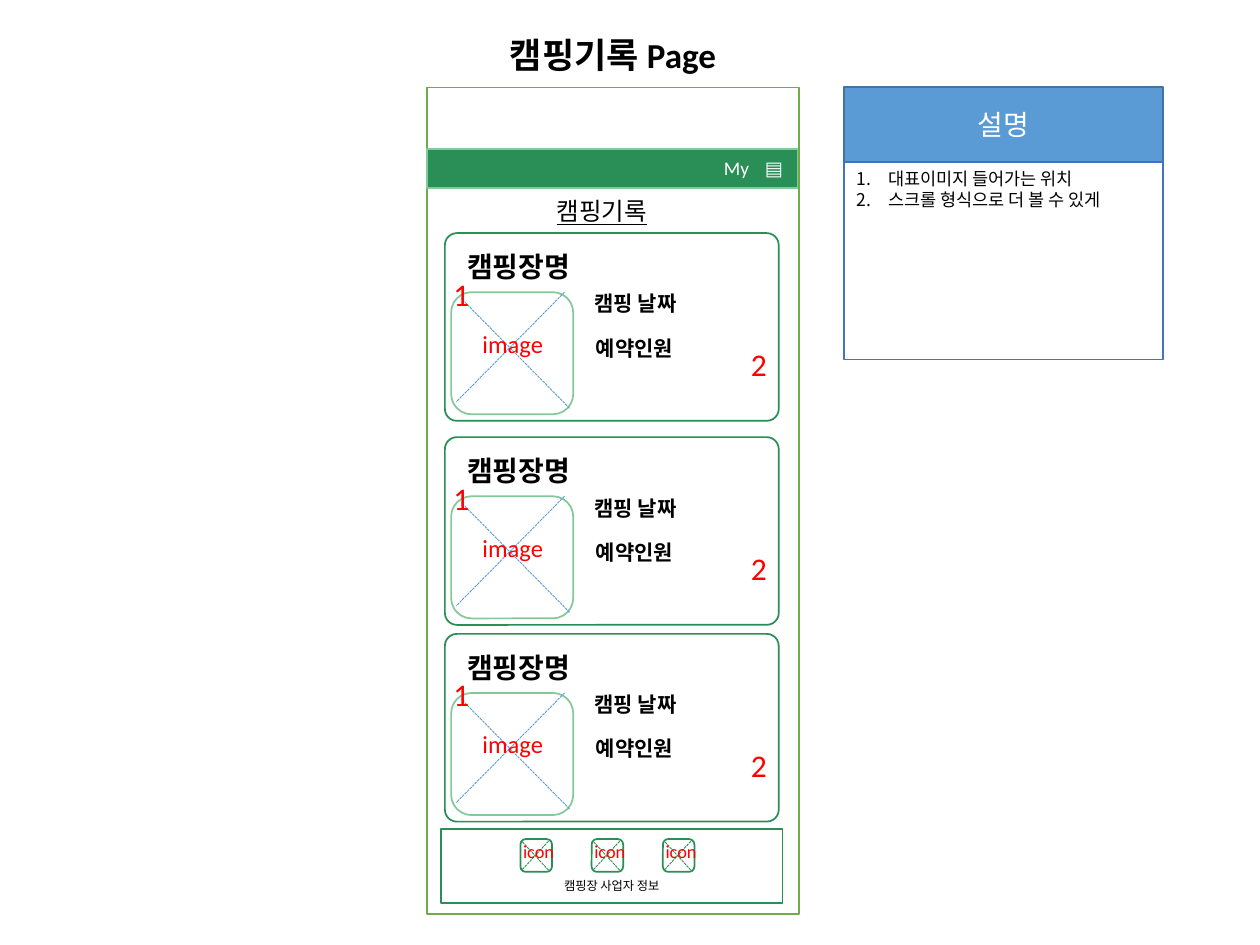
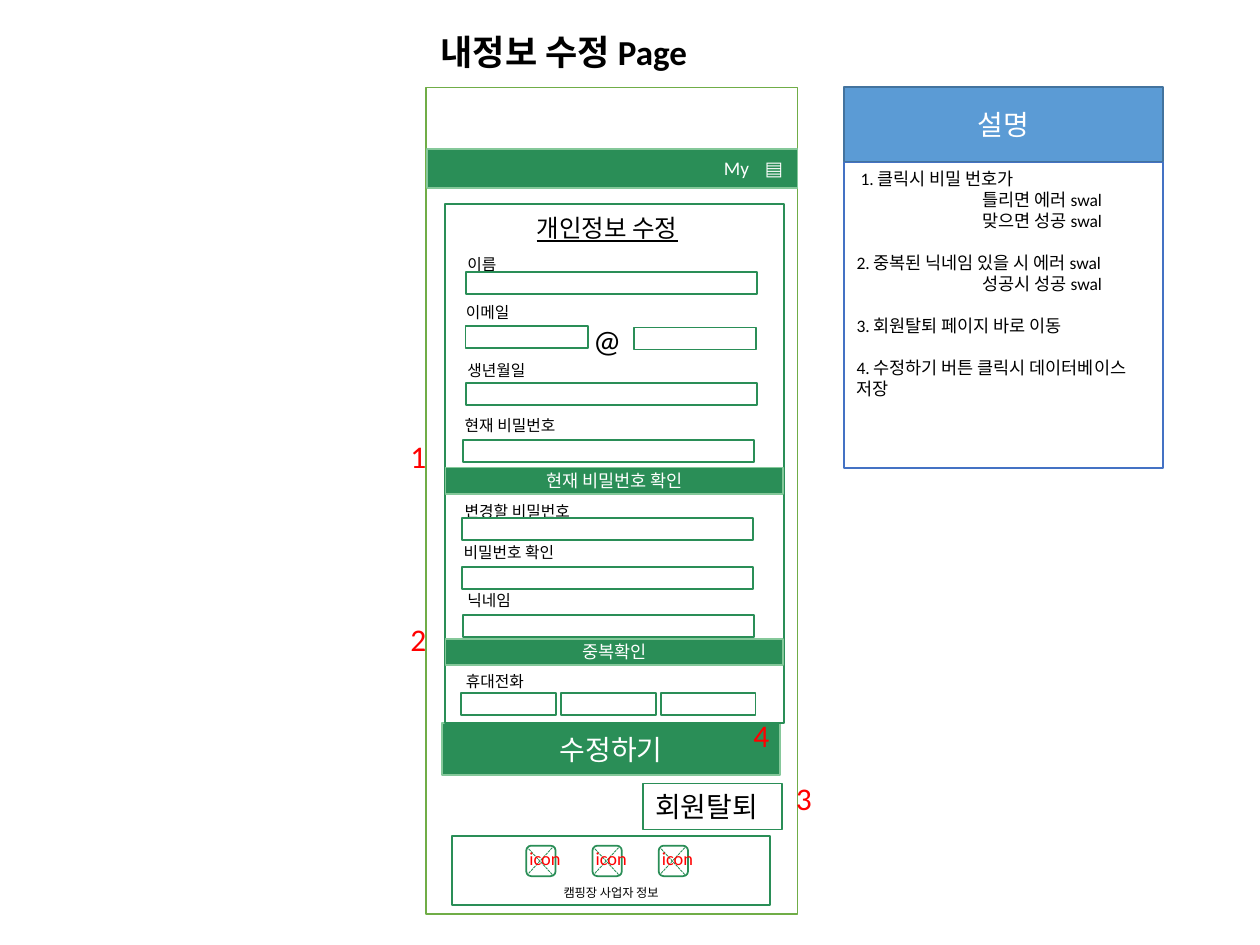
from dataclasses import dataclass

from lxml import etree
from pptx import Presentation
from pptx.dml.color import RGBColor
from pptx.enum.dml import MSO_LINE_DASH_STYLE as Dash
from pptx.enum.shapes import MSO_CONNECTOR as Connector, MSO_SHAPE as Shape
from pptx.enum.text import MSO_ANCHOR as Anchor, PP_ALIGN as Align
from pptx.oxml.ns import qn
from pptx.util import Pt


@dataclass(frozen=True)
class Theme:
    font: str = "Calibri"
    white: str = "FFFFFF"
    black: str = "000000"
    red: str = "FF0000"
    green: str = "2A8E57"
    light_green: str = "85C89A"
    frame_green: str = "70AD47"
    blue: str = "5B9BD5"
    dark_blue: str = "43739E"
    note_blue: str = "4472C4"
    title: float = 20
    marker: float = 18
    large: float = 16
    heading: float = 14
    detail: float = 12
    menu: float = 11
    icon: float = 10.5
    note: float = 10
    label: float = 9
    footer: float = 7


def add_paragraph(frame, text, *, size, color, bold=False, underline=False,
                  align=Align.LEFT, indent=0, before=0, numbered=False):
    """Fill the empty first paragraph of the frame, or append a new one."""
    para = frame.paragraphs[0]
    if para.runs:
        para = frame.add_paragraph()
    para.alignment = align
    properties = para._p.get_or_add_pPr()
    if indent:
        properties.set("marL", str(Pt(indent)))
    if numbered:
        properties.set("indent", str(-Pt(indent)))
        etree.SubElement(properties, qn("a:buAutoNum"), type="arabicPeriod")
    if before:
        para.space_before = Pt(before)
    span = para.add_run()
    span.text = text
    font = span.font
    font.name, font.size = Theme.font, Pt(size)
    font.bold, font.underline = bold, underline
    font.color.rgb = RGBColor.from_string(color)


class Wireframe:
    def __init__(self, theme):
        self.theme = theme
        self.deck = Presentation()
        self.deck.slide_width, self.deck.slide_height = Pt(720), Pt(540)

    def new_page(self):
        self.page = self.deck.slides.add_slide(self.deck.slide_layouts[6])
        self.canvas = self.page.shapes

    def start_group(self):
        self.canvas = self.page.shapes.add_group_shape().shapes

    def end_group(self):
        self.canvas = self.page.shapes

    def box(self, left, top, width, height, *, fill=None, line=Theme.green,
            weight=1, kind=Shape.RECTANGLE, corner=None):
        box = self.canvas.add_shape(kind, Pt(left), Pt(top), Pt(width), Pt(height))
        box.shadow.inherit = False
        if fill:
            box.fill.solid()
            box.fill.fore_color.rgb = RGBColor.from_string(fill)
        else:
            box.fill.background()
        box.line.color.rgb = RGBColor.from_string(line)
        box.line.width = Pt(weight)
        if corner is not None:
            box.adjustments[0] = corner
        frame = box.text_frame
        frame.word_wrap = True
        frame.vertical_anchor = Anchor.TOP
        return box

    def button(self, text, left, top, width, height, *, size, color=Theme.white, **look):
        box = self.box(left, top, width, height, **look)
        box.text_frame.vertical_anchor = Anchor.MIDDLE
        add_paragraph(box.text_frame, text, size=size, color=color, align=Align.CENTER)

    def text(self, text, left, top, width, height, *, anchor=Anchor.TOP,
             color=Theme.black, **style):
        box = self.canvas.add_textbox(Pt(left), Pt(top), Pt(width), Pt(height))
        box.text_frame.word_wrap = True
        box.text_frame.vertical_anchor = anchor
        add_paragraph(box.text_frame, text, color=color, **style)

    def marker(self, number, left, top, width=21.6):
        self.text(number, left, top, width, 28.8,
                  size=self.theme.marker, color=self.theme.red)

    def dashed_line(self, x1, y1, x2, y2, color):
        line = self.canvas.add_connector(Connector.STRAIGHT, Pt(x1), Pt(y1), Pt(x2), Pt(y2))
        line.line.color.rgb = RGBColor.from_string(color)
        line.line.width = Pt(0.5)
        line.line.dash_style = Dash.SQUARE_DOT
        etree.SubElement(line._element.spPr, qn("a:effectLst"))

    def phone(self, title, title_left, title_top, frame_left, notes_height, notes):
        """Start a page with its title, phone frame, menu bar and notes panel."""
        theme = self.theme
        self.new_page()
        self.box(frame_left, 50, 212.4, 472.3, fill=theme.white, line=theme.frame_green)
        panel = self.box(482.4, 92.5, 182.2, notes_height,
                         fill=theme.white, line=theme.note_blue)
        for text, style in notes:
            add_paragraph(panel.text_frame, text, size=theme.note,
                          color=theme.black, **style)
        self.button("설명", 482.4, 49.7, 182.2, 42.7, size=theme.large,
                    fill=theme.blue, line=theme.dark_blue)
        self.box(244, 85, 211.7, 22.3, fill=theme.green, line=theme.light_green)
        for text, left, width in (("My", 404, 33.8), ("▤", 430, 23)):
            self.button(text, left, 86.4, width, 18.7, size=theme.menu)
        self.text(title, title_left, title_top, 298.8, 31.7, size=theme.title,
                  bold=True, align=Align.CENTER)

    def footer(self, left, top, width, height, scale=1):
        theme = self.theme
        self.start_group()
        panel = self.box(left, top, width, height, fill=theme.white)
        panel.text_frame.margin_top = Pt(28)
        add_paragraph(panel.text_frame, "캠핑장 사업자 정보", size=theme.footer,
                      color=theme.black, align=Align.CENTER)
        for index in range(3):
            x = left + (45.4 + 40.7 * index) * scale
            y = top + 5.9 * scale
            self.box(x, y, 18 * scale, 18.7 * scale, fill=theme.white,
                     kind=Shape.ROUNDED_RECTANGLE)
            near_x, far_x = x + 0.8 * scale, x + 16 * scale
            near_y, far_y = y + 1.2 * scale, y + 17.7 * scale
            self.dashed_line(far_x, far_y, near_x, near_y, theme.green)
            self.dashed_line(far_x, near_y, near_x, far_y, theme.green)
            self.text("icon", x - 5.6 * scale, y - 3 * scale, 35.3 * scale, 21.6 * scale,
                      size=theme.icon, color=theme.red)
        self.end_group()

    def camp_card(self, left, top):
        theme = self.theme
        self.start_group()
        self.box(left, top, 190.8, 107.3, fill=theme.white,
                 kind=Shape.ROUNDED_RECTANGLE, corner=0.064)
        self.box(left + 3.6, top + 33.8, 69.8, 69.8, fill=theme.white,
                 line=theme.light_green, kind=Shape.ROUNDED_RECTANGLE)
        self.dashed_line(left + 71.3, top + 100.1, left + 9.4, top + 37.4, theme.blue)
        self.dashed_line(left + 68.4, top + 33.8, left + 6.5, top + 96.5, theme.blue)
        for text, x, y, width, height, size in (
            ("캠핑장명", 5.8, 5.8, 79.2, 26.6, theme.large),
            ("캠핑 날짜", 78.5, 29.5, 65.5, 21.6, theme.detail),
            ("예약인원", 79.2, 54.7, 63.4, 21.6, theme.detail),
        ):
            self.text(text, left + x, top + y, width, height, size=size,
                      bold=True, anchor=Anchor.MIDDLE)
        self.text("image", left + 14.4, top + 51.1, 108, 24.5,
                  size=theme.heading, color=theme.red)
        self.marker("1", left - 2.2, top + 20.2, 26.6)
        self.marker("2", left + 167.8, top + 60.5, 26.6)
        self.end_group()

    def form_row(self, label, label_left, label_top, field_width, fields):
        self.text(label, label_left, label_top, 80, 18, size=self.theme.label)
        for left, top in fields:
            self.box(left, top, field_width, 12.6, fill=self.theme.white)


def camping_record_page(wireframe):
    item = dict(indent=18, numbered=True)
    wireframe.phone("캠핑기록 Page", 200.9, 15.8, 244, 113, [
        ("대표이미지 들어가는 위치", item),
        ("스크롤 형식으로 더 볼 수 있게", item),
    ])
    wireframe.text("캠핑기록", 311, 108.7, 71.3, 24.5,
                   size=wireframe.theme.heading, underline=True)
    wireframe.footer(252, 473.6, 195.1, 42.5)
    for top in (133.2, 249.8, 362.2):
        wireframe.camp_card(254.2, top)


def edit_profile_page(wireframe):
    theme = wireframe.theme
    result, next_item = dict(indent=72), dict(before=12)
    wireframe.phone("내정보 수정 Page", 172.8, 13.7, 243.4, 175, [
        ("1. 클릭시 비밀 번호가", dict(indent=2.3)),
        ("틀리면 에러 swal", result),
        ("맞으면 성공 swal", result),
        ("2. 중복된 닉네임 있을 시 에러 swal", next_item),
        ("성공시 성공 swal", result),
        ("3. 회원탈퇴 페이지 바로 이동", next_item),
        ("4. 수정하기 버튼 클릭시 데이터베이스 저장", next_item),
    ])
    solid = dict(fill=theme.green, line=theme.light_green)
    wireframe.button("수정하기", 252.7, 413.3, 193, 29.5, size=theme.large, **solid)
    wireframe.box(254.2, 116.6, 193.7, 296.6)
    wireframe.text("개인정보 수정", 299.5, 118.1, 102.2, 24.5,
                   size=theme.heading, underline=True)

    full, half, third = 166.3, 69.8, 54
    for row in (
        ("이름", 260, 141.8, full, [(266.4, 155.6)]),
        ("이메일", 259.2, 169.2, half, [(266.1, 186.4), (362.2, 187.2)]),
        ("생년월일", 260, 202.3, full, [(266.1, 218.9)]),
        ("현재 비밀번호", 258.5, 234, full, [(264.6, 251.3)]),
        ("변경할 비밀번호", 258.5, 283, full, [(264, 296.2)]),
        ("비밀번호 확인", 257.8, 306.7, full, [(264, 323.9)]),
        ("닉네임", 260, 334.1, full, [(264.6, 351.4)]),
        ("휴대전화", 259.2, 380.2, third, [(263.6 + 57.1 * i, 396) for i in range(3)]),
    ):
        wireframe.form_row(*row)
    wireframe.text("@", 331.9, 180, 21.6, 28.8, size=theme.marker)
    for text, top in (("현재 비밀번호 확인", 267.1), ("중복확인", 365)):
        wireframe.button(text, 254.6, top, 193, 15.1, size=theme.note, **solid)

    leave = wireframe.box(367.4, 447.6, 79.5, 26.6, weight=0.75)
    add_paragraph(leave.text_frame, "회원탈퇴", size=theme.large, color=theme.black)
    wireframe.footer(258.5, 477.8, 181.4, 39.2, scale=0.93)
    for number, left, top in (("1", 227.5, 246.2), ("2", 227.5, 350.6),
                              ("3", 447.8, 441.4), ("4", 423.4, 405.4)):
        wireframe.marker(number, left, top)


def main():
    wireframe = Wireframe(Theme())
    camping_record_page(wireframe)
    edit_profile_page(wireframe)
    wireframe.deck.save("out.pptx")


if __name__ == "__main__":
    main()
